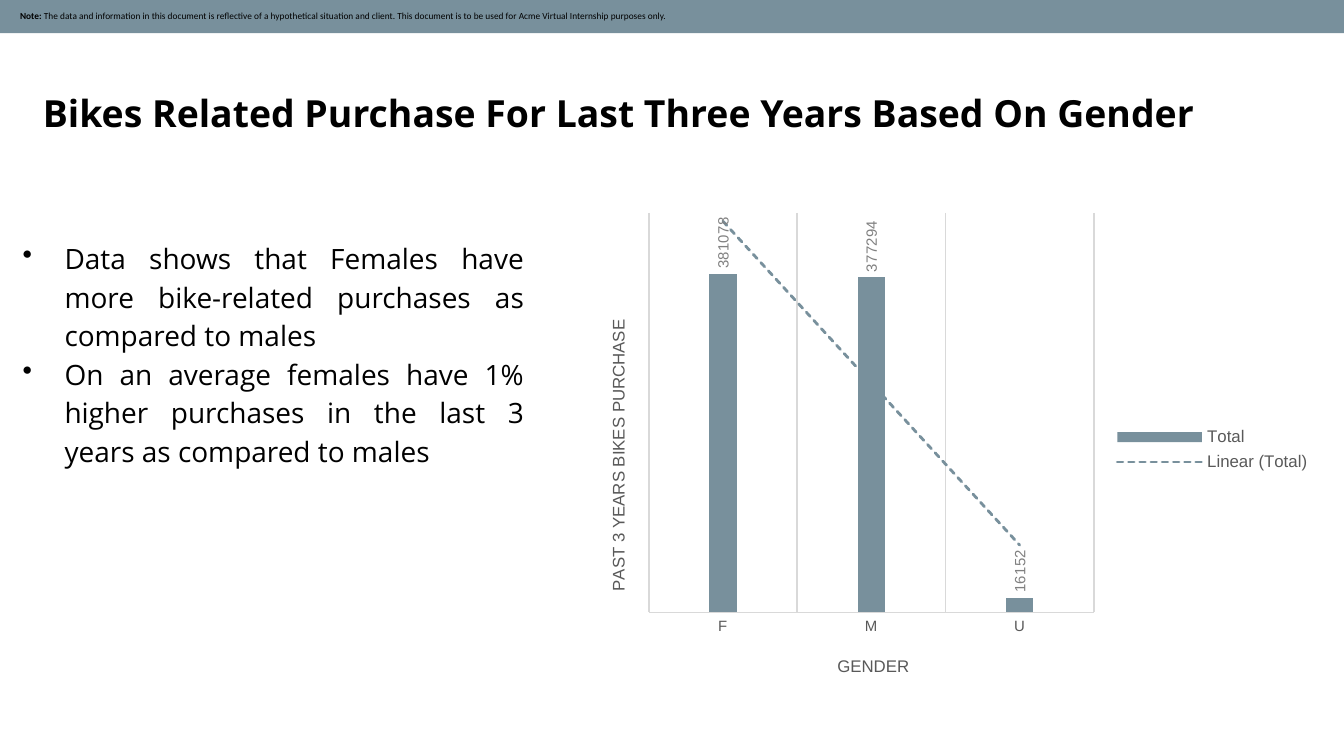
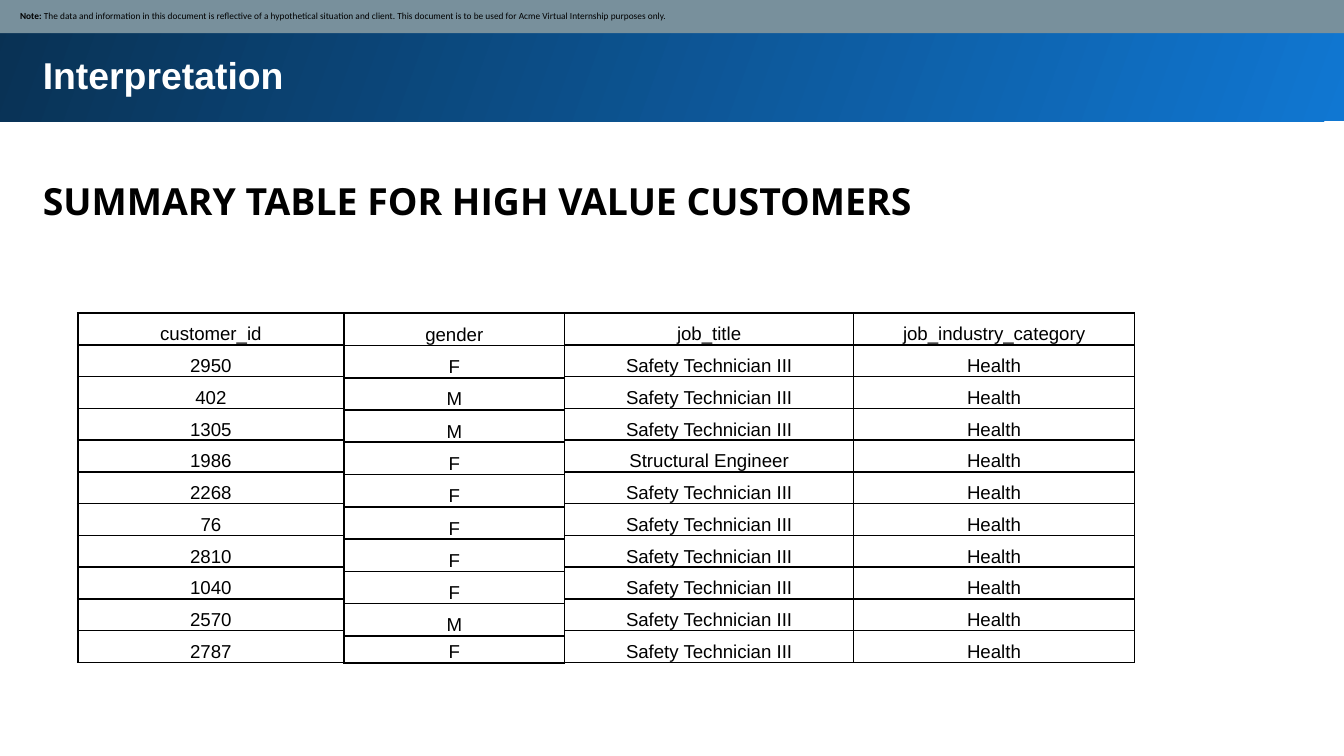
"""Build two slides on bike buyers: a chart by gender and a customer table."""
from dataclasses import dataclass
from typing import Any

import lxml.etree
import pptx
import pptx.chart.data
import pptx.dml.color
import pptx.enum.chart
import pptx.enum.shapes
import pptx.enum.text
import pptx.oxml
import pptx.oxml.ns
import pptx.util

Cm = pptx.util.Cm
Pt = pptx.util.Pt
qn = pptx.oxml.ns.qn
ALIGN = pptx.enum.text.PP_ALIGN
ANCHOR = pptx.enum.text.MSO_ANCHOR
RECT = pptx.enum.shapes.MSO_SHAPE.RECTANGLE

BLACK, WHITE, SLATE = "000000", "FFFFFF", "78909C"
NAVY, BLUE = "093153", "1077D2"
GRAY, LIGHT, PALE = "595959", "808080", "D9D9D9"
SANS, HEAD, SMALL = "Arial", "Open Sans", "Calibri"
PAD = 0.25


@dataclass
class Box:
    left: float
    top: float
    width: float
    height: float

    def place(self) -> tuple:
        return Cm(self.left), Cm(self.top), Cm(self.width), Cm(self.height)


@dataclass
class Style:
    name: str
    size: float
    color: str = BLACK
    bold: bool = False


@dataclass
class Grid:
    left: float
    widths: list[float]
    rows: list[list[str]]
    height: float
    last: float


TITLE = Style(HEAD, 20, bold=True)
BANNER = Style(SANS, 20, WHITE, True)
BODY = Style(HEAD, 15)
CELL = Style(SANS, 10)
LABEL = Style(SANS, 9, GRAY)
TICK = Style(SANS, 8, GRAY)
VALUE = Style(SANS, 8, LIGHT)


def hue(code: str) -> pptx.dml.color.RGBColor:
    return pptx.dml.color.RGBColor.from_string(code)


def ink(font: Any, style: Style) -> None:
    font.name, font.size, font.bold = style.name, Pt(style.size), style.bold
    font.color.rgb = hue(style.color)


def write(line: Any, text: str, style: Style) -> None:
    run = line.add_run()
    run.text = text
    ink(run.font, style)


def inset(item: Any, left: float, top: float, right: float, base: float) -> None:
    item.margin_left, item.margin_top = Cm(left), Cm(top)
    item.margin_right, item.margin_bottom = Cm(right), Cm(base)


def put(slide: Any, box: Box, lines: list[str], style: Style,
        space: float = 1.0, dots: bool = False) -> None:
    frame = slide.shapes.add_textbox(*box.place()).text_frame
    frame.word_wrap = True
    inset(frame, PAD, PAD, PAD, PAD)
    for spot, text in enumerate(lines):
        line = frame.add_paragraph() if spot else frame.paragraphs[0]
        line.line_spacing = space
        write(line, text, style)
        if dots:
            line.alignment = ALIGN.JUSTIFY
            props = line._p.get_or_add_pPr()
            props.set("marL", str(Cm(0.79)))
            props.set("indent", str(-Cm(0.79)))
            lxml.etree.SubElement(props, qn("a:buChar")).set("char", "•")


def head(slide: Any, top: float, text: str) -> None:
    put(slide, Box(0.56, top, 23.8, 1.42), [text], TITLE, 1.15)


def block(slide: Any, box: Box) -> Any:
    shape = slide.shapes.add_shape(RECT, *box.place())
    shape.shadow.inherit = False
    shape.line.fill.background()
    return shape


def note(slide: Any) -> None:
    band = block(slide, Box(-0.03, -0.03, 25.48, 0.66))
    band.fill.solid()
    band.fill.fore_color.rgb = hue(SLATE)
    frame = band.text_frame
    frame.word_wrap = True
    frame.vertical_anchor = ANCHOR.MIDDLE
    inset(frame, 0.41, 0.13, 0.13, 0.13)
    line = frame.paragraphs[0]
    line.alignment = ALIGN.LEFT
    write(line, "Note: ", Style(SMALL, 5, bold=True))
    write(line, "The data and information in this document is reflective of a "
          "hypothetical situation and client. This document is to be used for "
          "Acme Virtual Internship purposes only.", Style(SMALL, 5))


def banner(slide: Any, text: str) -> None:
    band = block(slide, Box(-0.05, -0.05, 25.5, 2.34))
    band.fill.gradient()
    band.fill.gradient_angle = 160
    for stop, code in zip(band.fill.gradient_stops, (BLUE, NAVY)):
        stop.color.rgb = hue(code)
    for stop, place in zip(band.fill.gradient_stops, (0, 1)):
        stop.position = place
    put(slide, Box(0.56, 0.74, 23.8, 2.11), [text], BANNER)


def fix(owner: Any, inner: bool = False, **parts: float) -> None:
    frame = owner.find(qn("c:layout"))
    if frame is None:
        frame = owner.makeelement(qn("c:layout"))
        owner.insert(0, frame)
    manual = lxml.etree.SubElement(frame, qn("c:manualLayout"))
    if inner:
        lxml.etree.SubElement(manual, qn("c:layoutTarget")).set("val", "inner")
    for axis in "xy":
        lxml.etree.SubElement(manual, qn(f"c:{axis}Mode")).set("val", "edge")
    for key, part in parts.items():
        lxml.etree.SubElement(manual, qn(f"c:{key}")).set("val", str(part))


def turn(body: Any) -> None:
    body.set("rot", "-5400000")
    body.set("vert", "horz")


def name(axis: Any, text: str, x: float, y: float) -> Any:
    axis.has_title = True
    write(axis.axis_title.text_frame.paragraphs[0], text, LABEL)
    fix(axis.axis_title.element, x=x, y=y)
    return axis.axis_title.element


def trend(root: Any) -> None:
    space = 'xmlns:c="%s" xmlns:a="%s"' % (
        pptx.oxml.ns.nsuri("c"), pptx.oxml.ns.nsuri("a"))
    line = pptx.oxml.parse_xml(
        f'<c:trendline {space}><c:spPr><a:ln w="{Pt(1.5)}" cap="rnd"><a:solidFill>'
        f'<a:srgbClr val="{SLATE}"/></a:solidFill><a:prstDash val="sysDash"/></a:ln>'
        '</c:spPr><c:trendlineType val="linear"/><c:dispRSqr val="0"/>'
        '<c:dispEq val="0"/></c:trendline>')
    root.xpath(".//c:ser/c:cat")[0].addprevious(line)


def graph(slide: Any, box: Box) -> None:
    kinds = pptx.enum.chart
    data = pptx.chart.data.CategoryChartData()
    data.categories = ["F", "M", "U"]
    data.add_series("Total", (381078, 377294, 16152))
    chart = slide.shapes.add_chart(
        kinds.XL_CHART_TYPE.COLUMN_CLUSTERED, *box.place(), data).chart
    ink(chart.font, CELL)
    chart.has_title = False
    chart.has_legend = True
    chart.legend.position = kinds.XL_LEGEND_POSITION.RIGHT
    chart.legend.include_in_layout = False
    ink(chart.legend.font, LABEL)

    plot = chart.plots[0]
    plot.vary_by_categories = False
    plot.gap_width, plot.overlap = 444, -90
    bars = plot.series[0]
    bars.format.fill.solid()
    bars.format.fill.fore_color.rgb = hue(SLATE)
    marks = bars.data_labels
    marks.show_value = True
    marks.position = kinds.XL_LABEL_POSITION.OUTSIDE_END
    ink(marks.font, VALUE)

    base = chart.category_axis
    base.major_tick_mark = kinds.XL_TICK_MARK.NONE
    base.has_major_gridlines = True
    ink(base.tick_labels.font, TICK)
    for line in (base.format.line, base.major_gridlines.format.line):
        line.color.rgb = hue(PALE)
        line.width = Pt(0.75)
    name(base, "GENDER", 0.34, 0.91)

    side = chart.value_axis
    side.minimum_scale, side.maximum_scale = 0, 450000
    side.has_major_gridlines = False
    side.visible = False
    title = name(side, "PAST 3 YEARS BIKES PURCHASE", 0.03, 0.23)

    root = chart.element
    turn(title.xpath(".//a:bodyPr")[0])
    turn(root.xpath(".//c:ser/c:dLbls/c:txPr/a:bodyPr")[0])
    trend(root)
    fix(root.xpath(".//c:plotArea")[0], True, x=0.09, y=0.02, w=0.6, h=0.81)


def edge(cell: Any) -> None:
    props = cell._tc.get_or_add_tcPr()
    for spot, side in enumerate("LRTB"):
        line = props.makeelement(qn(f"a:ln{side}"), {"w": str(Pt(1))})
        fill = lxml.etree.SubElement(line, qn("a:solidFill"))
        lxml.etree.SubElement(fill, qn("a:srgbClr")).set("val", BLACK)
        props.insert(spot, line)


def table(slide: Any, grid: Grid, top: float) -> None:
    count = len(grid.rows)
    box = Box(grid.left, top, sum(grid.widths),
              grid.height * (count - 1) + grid.last)
    sheet = slide.shapes.add_table(count, len(grid.widths), *box.place()).table
    sheet.first_row = sheet.horz_banding = False
    for column, width in zip(sheet.columns, grid.widths):
        column.width = Cm(width)
    for spot, texts in enumerate(grid.rows):
        sheet.rows[spot].height = Cm(grid.last if spot == count - 1 else grid.height)
        for col, text in enumerate(texts):
            cell = sheet.cell(spot, col)
            cell.fill.background()
            cell.vertical_anchor = ANCHOR.BOTTOM
            inset(cell, 0.03, 0.03, 0.03, 0)
            line = cell.text_frame.paragraphs[0]
            line.alignment = ALIGN.CENTER
            write(line, text, CELL)
            edge(cell)


def main() -> None:
    deck = pptx.Presentation()
    deck.slide_width, deck.slide_height = Cm(25.4), Cm(14.29)
    first, second = (deck.slides.add_slide(deck.slide_layouts[6]) for _ in range(2))

    head(first, 1.32, "Bikes Related Purchase For Last Three Years Based On Gender")
    put(first, Box(0.18, 4.22, 9.98, 4.88), [
        "Data shows that Females have more bike-related purchases as compared to males",
        "On an average females have 1% higher purchases in the last 3 years "
        "as compared to males"], BODY, 1.15, True)
    note(first)
    graph(first, Box(11, 3.84, 14.02, 9.32))

    banner(second, "Interpretation")
    head(second, 3, "SUMMARY TABLE FOR HIGH VALUE CUSTOMERS")
    note(second)
    codes = "customer_id 2950 402 1305 1986 2268 76 2810 1040 2570 2787".split()
    sexes = ["gender", *"FMMFFFFFMF"]
    jobs = ["job_title"] + ["Safety Technician III"] * 10
    jobs[4] = "Structural Engineer"
    fields = ["job_industry_category"] + ["Health"] * 10
    for grid in (
        Grid(1.47, [5.03], [[code] for code in codes], 0.6, 0.6),
        Grid(6.5, [4.17], [[sex] for sex in sexes], 0.61, 0.51),
        Grid(10.67, [5.46, 5.31], [list(pair) for pair in zip(jobs, fields)], 0.6, 0.6),
    ):
        table(second, grid, 5.92)
    deck.save("out.pptx")


main()
